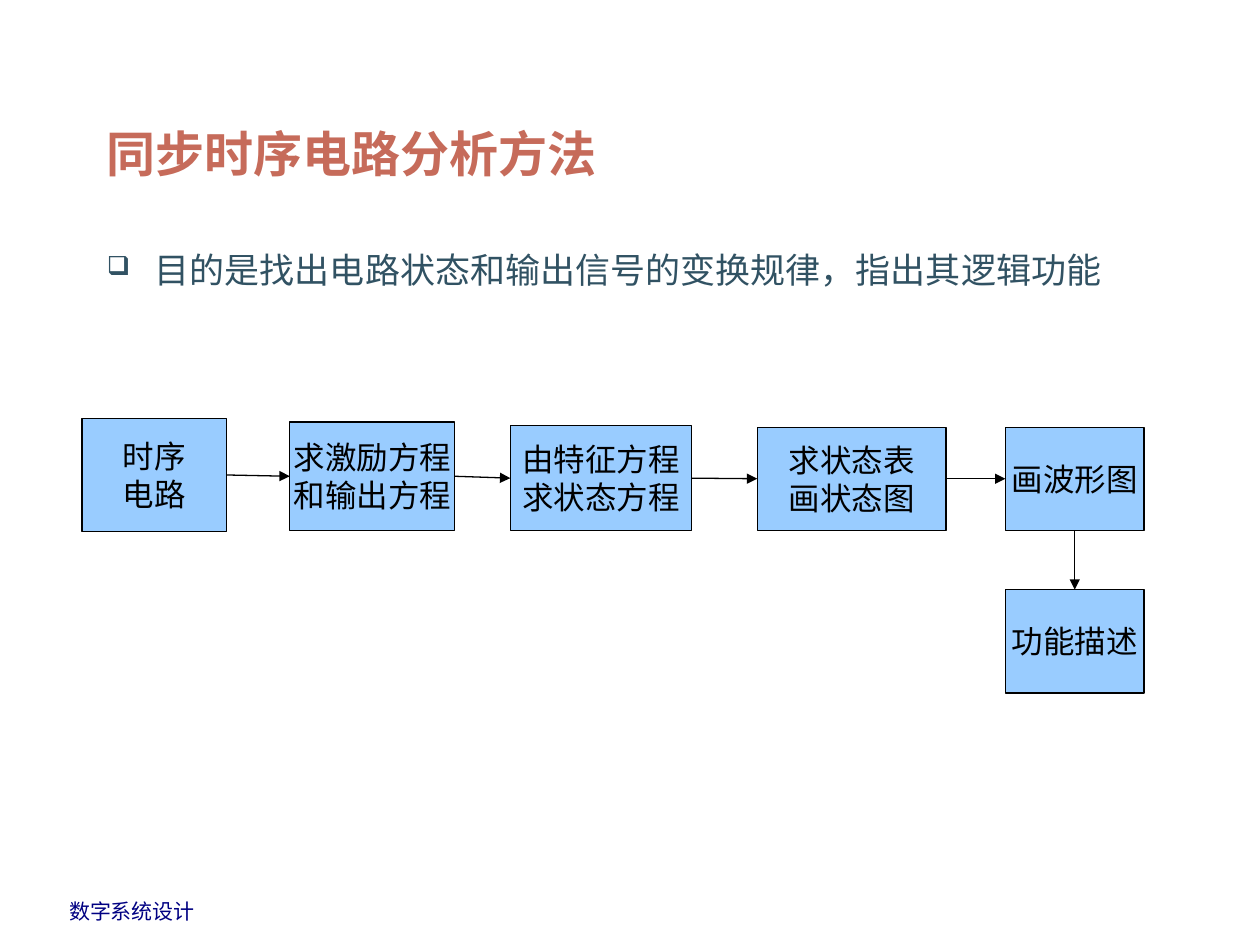
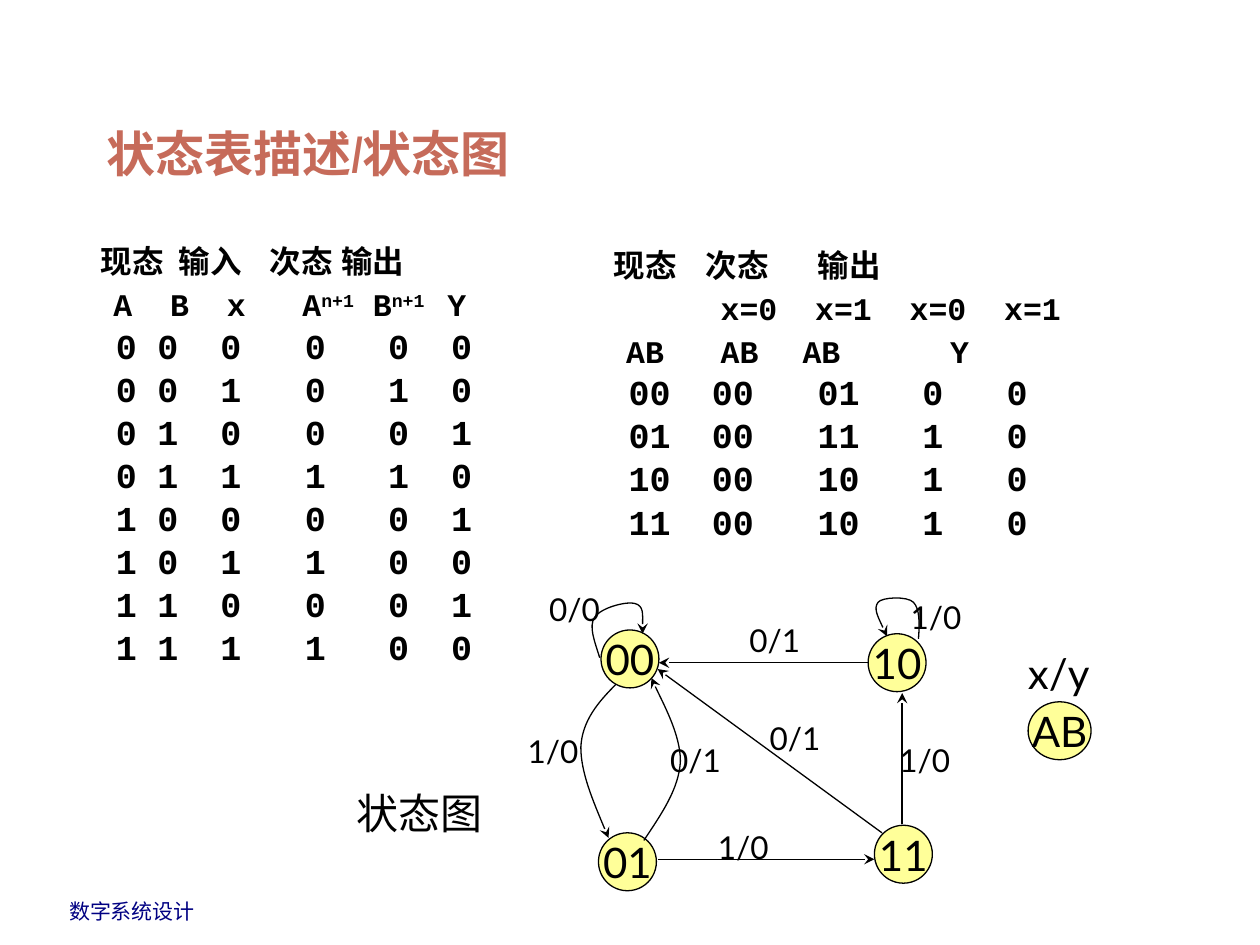
from lxml import etree
from pptx import Presentation
from pptx.dml.color import RGBColor
from pptx.enum.shapes import MSO_CONNECTOR, MSO_SHAPE
from pptx.enum.text import MSO_ANCHOR, PP_ALIGN
from pptx.oxml.ns import qn
from pptx.util import Inches, Pt

RECT, OVAL = MSO_SHAPE.RECTANGLE, MSO_SHAPE.OVAL
LINE = MSO_CONNECTOR.STRAIGHT
MIDDLE, BOTTOM = MSO_ANCHOR.MIDDLE, MSO_ANCHOR.BOTTOM
CENTER = PP_ALIGN.CENTER
TOP_SIDE, LEFT_SIDE, LOW_SIDE, RIGHT_SIDE = range(4)

BLACK = RGBColor(0x00, 0x00, 0x00)
RUST = RGBColor(0xC6, 0x6B, 0x5A)
SLATE = RGBColor(0x31, 0x52, 0x63)
NAVY = RGBColor(0x00, 0x00, 0x82)
SKY = RGBColor(0x99, 0xCC, 0xFF)
LEMON = RGBColor(0xFF, 0xFF, 0x99)

STEPS = [
    (0, 0, 1.15, 0.9, "时序\n电路"),
    (1.65, 0.03, 1.31, 0.86, "求激励方程\n和输出方程"),
    (3.4, 0.06, 1.44, 0.83, "由特征方程\n求状态方程"),
    (5.36, 0.07, 1.5, 0.82, "求状态表\n画状态图"),
    (7.33, 0.07, 1.1, 0.82, "画波形图"),
    (7.33, 1.36, 1.1, 0.82, "功能描述"),
]

TRUTH_HEAD = [
    ("现态 输入 次态 输出", [0.05, 0.67, 1.39, 1.96]),
    ("A B x A^n+1^ B^n+1^ Y", [0.15, 0.6, 1.05, 1.65, 2.21, 2.8]),
]
TRUTH_STOPS = [0.17, 0.5, 1, 1.67, 2.33, 2.83]
TRUTH_ROWS = ["0 0 0 0 0 0", "0 0 1 0 1 0", "0 1 0 0 0 1", "0 1 1 1 1 0",
              "1 0 0 0 0 1", "1 0 1 1 0 0", "1 1 0 0 0 1", "1 1 1 1 0 0"]

STATE_HEAD = [
    ("现态 次态 输出", [0.05, 0.78, 1.67]),
    ("x=0 x=1 x=0 x=1", [0.9, 1.65, 2.4, 3.15]),
    ("AB AB AB Y", [0.15, 0.9, 1.55, 2.72]),
]
STATE_STOPS = [0.17, 0.83, 1.67, 2.5, 3.17]
STATE_ROWS = ["00 00 01 0 0", "01 00 11 1 0", "10 00 10 1 0", "11 00 10 1 0"]

NODES = [("00", 0.77, 0.4, 0.46), ("10", 2.89, 0.43, 0.46),
         ("01", 0.75, 2.01, 0.46), ("11", 2.94, 1.95, 0.46),
         ("AB", 4.16, 0.97, 0.5)]
EDGES = [(3.16, 1.94, 3.16, 0.9), (2.89, 0.66, 1.23, 0.66),
         (1.22, 2.22, 2.94, 2.22), (3, 2.01, 1.22, 0.71)]
CURVES = [
    [(0.89, 0.83), (0.75, 0.97), (0.62, 1.12), (0.61, 1.33),
     (0.61, 1.53), (0.72, 1.79), (0.83, 2.05)],
    [(1.11, 2.07), (1.25, 1.86), (1.39, 1.66), (1.4, 1.44),
     (1.4, 1.23), (1.21, 0.88), (1.17, 0.78)],
    [(0.76, 0.62), (0.72, 0.49), (0.67, 0.37), (0.72, 0.3), (0.77, 0.22),
     (0.98, 0.17), (1.04, 0.19), (1.11, 0.21), (1.1, 0.32), (1.1, 0.43)],
    [(3.29, 0.47), (3.3, 0.35), (3.3, 0.23), (3.25, 0.18), (3.2, 0.13),
     (3, 0.14), (2.97, 0.18), (2.93, 0.23), (2.99, 0.34), (3.04, 0.45)],
]
LABELS = [("0/0", 0.26, 0.03), ("0/1", 1.85, 0.28), ("1/0", 3.13, 0.1),
          ("1/0", 0.09, 1.16), ("0/1", 1.22, 1.23), ("1/0", 1.6, 1.92),
          ("0/1", 2.01, 1.06), ("1/0", 3.04, 1.23)]


def style(para, size, color=BLACK, face="Lato", bold=False):
    font = para.font
    font.size = Pt(size)
    font.name = face
    font.bold = bold
    font.color.rgb = color


def add_text(slide, box, text, size, color=BLACK, face="Lato", bold=False,
             wrap=True):
    frame = slide.shapes.add_textbox(*map(Inches, box)).text_frame
    frame.word_wrap = wrap
    frame.text = text
    style(frame.paragraphs[0], size, color, face, bold)
    return frame


def add_node(slide, kind, box, text, fill, size):
    node = slide.shapes.add_shape(kind, *map(Inches, box))
    node.shadow.inherit = False
    node.fill.solid()
    node.fill.fore_color.rgb = fill
    node.line.color.rgb = BLACK
    node.line.width = Pt(0.75)
    frame = node.text_frame
    frame.word_wrap = False
    frame.vertical_anchor = MIDDLE
    frame.text = text
    for para in frame.paragraphs:
        para.alignment = CENTER
        style(para, size)
    return node


def add_head(shape, head):
    shape.line.color.rgb = BLACK
    shape.line.width = Pt(0.75)
    etree.SubElement(shape.line._get_or_add_ln(), qn("a:tailEnd"), type=head)


def add_arrow(slide, ends, head):
    arrow = slide.shapes.add_connector(LINE, *map(Inches, ends))
    add_head(arrow, head)
    etree.SubElement(arrow._element.spPr, qn("a:effectLst"))
    return arrow


def add_curve(slide, points):
    spots = [(Inches(x), Inches(y)) for x, y in points]
    form = slide.shapes.build_freeform(*spots[0])
    form.add_line_segments(spots[1:], close=False)
    curve = form.convert_to_shape()
    curve.shadow.inherit = False
    curve.fill.background()
    add_head(curve, "stealth")
    lines = list(curve._element.iter(qn("a:lnTo")))
    for i in range(0, len(lines), 3):
        bend = etree.Element(qn("a:cubicBezTo"))
        lines[i].addprevious(bend)
        for line in lines[i:i + 3]:
            bend.append(line[0])
            line.getparent().remove(line)


def add_base(deck, title):
    slide = deck.slides.add_slide(deck.slide_layouts[6])
    add_text(slide, (0.45, 7.08, 1.2, 0.3), "数字系统设计", 12, NAVY, "Arial",
             wrap=False)
    frame = add_text(slide, (0.75, 0.25, 8.5, 1.25), title, 28, RUST,
                     "Arial Narrow", True)
    frame.vertical_anchor = BOTTOM
    return slide


def add_goal(slide, box, text):
    frame = add_text(slide, box, text, 20, SLATE, "Arial")
    props = frame.paragraphs[0]._p.get_or_add_pPr()
    props.set("marL", str(Inches(0.38)))
    props.set("indent", str(-Inches(0.38)))
    tint = etree.Element(qn("a:buClr"))
    etree.SubElement(tint, qn("a:srgbClr"), val=str(SLATE))
    size = etree.Element(qn("a:buSzPct"), val="75000")
    mark = etree.Element(qn("a:buChar"), char="❑")
    for i, item in enumerate((tint, size, mark)):
        props.insert(i, item)


def add_flow(slide, left, top):
    boxes = [add_node(slide, RECT, (left + x, top + y, w, h), text, SKY, 18)
             for x, y, w, h, text in STEPS]
    for i, (start, end) in enumerate(zip(boxes, boxes[1:])):
        down = i == len(boxes) - 2
        arrow = add_arrow(slide, (0, 0, 0, 0), "triangle")
        arrow.begin_connect(start, LOW_SIDE if down else RIGHT_SIDE)
        arrow.end_connect(end, TOP_SIDE if down else LEFT_SIDE)


def add_grid(slide, box, heads, rows, stops):
    frame = slide.shapes.add_textbox(*map(Inches, box)).text_frame
    frame.word_wrap = True
    frame.margin_left = frame.margin_right = Inches(0.02)
    frame.margin_top = frame.margin_bottom = Inches(0.03)
    lines = [(text, tabs, 18) for text, tabs in heads]
    lines += [(text, stops, 20) for text in rows]
    for i, (text, tabs, size) in enumerate(lines):
        para = frame.add_paragraph() if i else frame.paragraphs[0]
        para.line_spacing = Pt(24.6)
        ruler = etree.SubElement(para._p.get_or_add_pPr(), qn("a:tabLst"))
        for stop in tabs:
            etree.SubElement(ruler, qn("a:tab"), pos=str(Inches(stop)), algn="l")
        style(para, size, face="Courier New", bold=True)
        cells = "".join("\t" + cell for cell in text.split())
        for j, part in enumerate(cells.split("^")):
            run = para.add_run()
            run.text = part
            if j % 2:
                run._r.get_or_add_rPr().set("baseline", "30000")


def add_states(slide, left, top):
    for name, x, y, wide in NODES:
        add_node(slide, OVAL, (left + x, top + y, wide, 0.46), name, LEMON, 24)
    for x1, y1, x2, y2 in EDGES:
        add_arrow(slide, (left + x1, top + y1, left + x2, top + y2), "stealth")
    for points in CURVES:
        add_curve(slide, [(left + x, top + y) for x, y in points])
    for text, x, y in LABELS:
        add_text(slide, (left + x, top + y, 0.77, 0.4), text, 18)
    add_text(slide, (left + 4.06, top + 0.49, 0.81, 0.5), "x/y", 24)
    add_text(slide, (left - 1.27, top + 1.6, 1.34, 0.5), "状态图", 24)


def main():
    deck = Presentation()
    deck.slide_width, deck.slide_height = Inches(10), Inches(7.5)

    method = add_base(deck, "同步时序电路分析方法")
    add_goal(method, (0.75, 1.92, 8.5, 4.5),
             "目的是找出电路状态和输出信号的变换规律，指出其逻辑功能")
    add_flow(method, 0.65, 3.32)

    states = add_base(deck, "状态表描述/状态图")
    add_grid(states, (0.73, 1.85, 3.64, 3.35), TRUTH_HEAD, TRUTH_ROWS, TRUTH_STOPS)
    add_grid(states, (4.8, 1.88, 4.54, 3.35), STATE_HEAD, STATE_ROWS, STATE_STOPS)
    add_states(states, 4, 4.6)

    deck.save("out.pptx")


if __name__ == "__main__":
    main()
